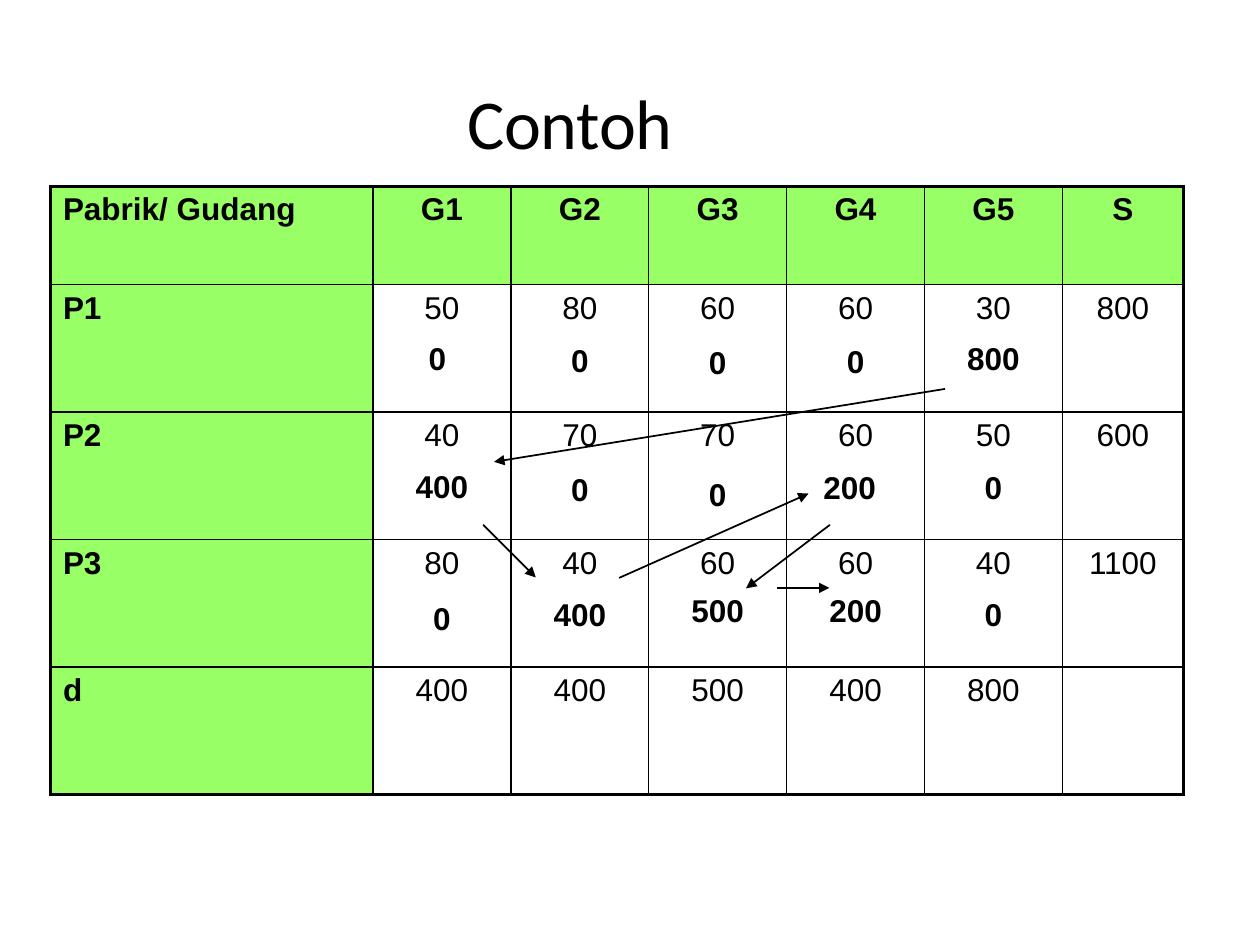
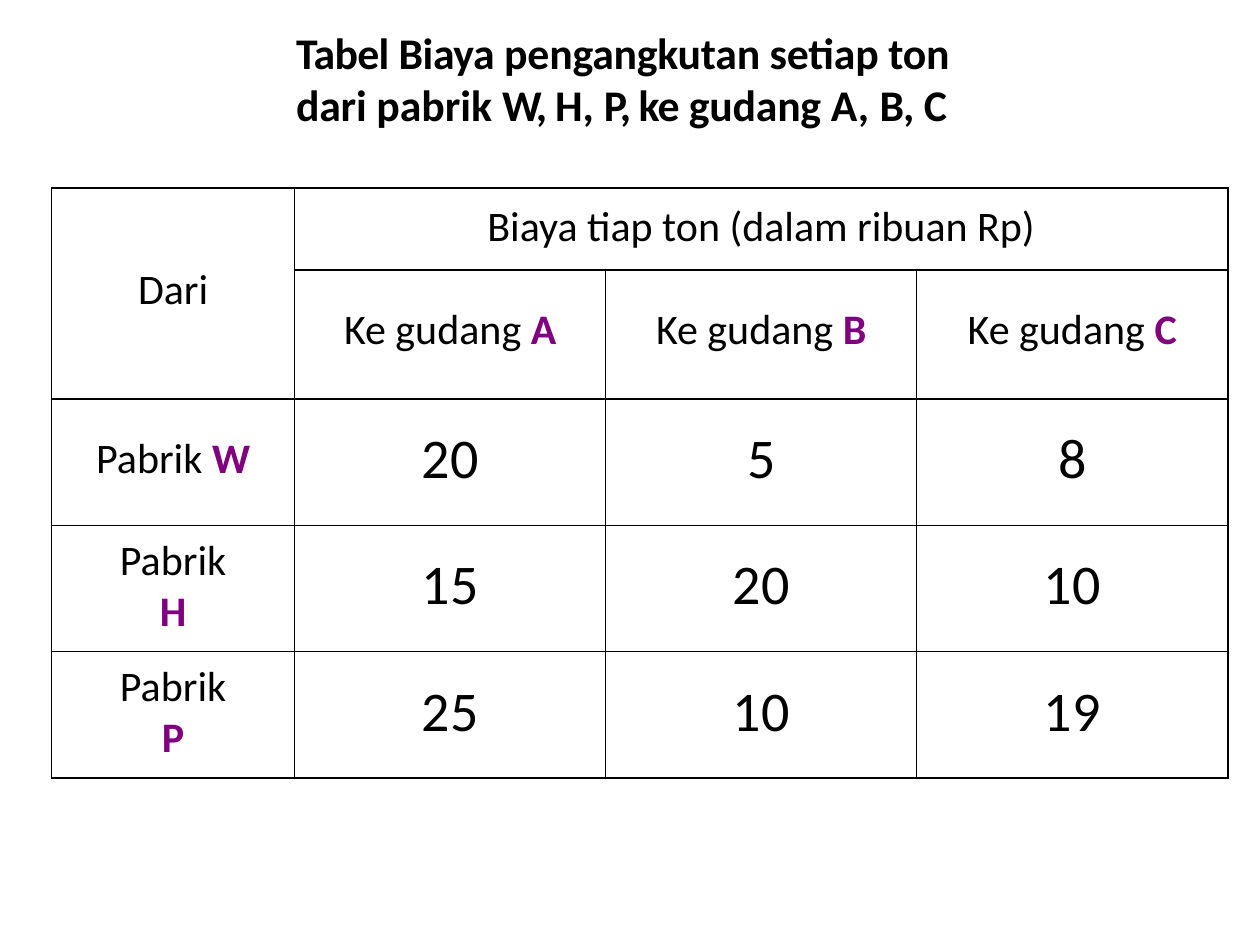
from lxml import etree
from pptx import Presentation
from pptx.dml.color import RGBColor
from pptx.enum.shapes import MSO_CONNECTOR
from pptx.enum.text import PP_ALIGN
from pptx.oxml.ns import qn
from pptx.util import Cm, Pt

LEFT, CENTER = PP_ALIGN.LEFT, PP_ALIGN.CENTER
STRAIGHT = MSO_CONNECTOR.STRAIGHT
BLACK, GREEN, PURPLE = "000000", "99FF66", "800080"

TITLE = {"name": "Calibri", "size": Pt(40), "bold": False}
SUBTITLE = {"name": "Calibri", "size": Pt(25), "bold": True}
COST = {"name": "Arial", "size": Pt(18), "bold": False}
STRONG = {**COST, "bold": True}
LABEL = {"name": "Calibri", "size": Pt(24), "bold": False}
KEY = {**LABEL, "bold": True, "color": PURPLE}
NUMBER = {**LABEL, "size": Pt(32)}

WAREHOUSES = ["G1", "G2", "G3", "G4", "G5"]
PLANTS = [
    ("P1", [50, 80, 60, 60, 30], [0, 0, 0, 0, 800], [8.9, 10.1, 11.6, 10.8, 8.9], 800),
    ("P2", [40, 70, 70, 60, 50], [400, 0, 0, 200, 0], [9.2, 11.4, 14.1, 9.9, 9.9], 600),
    ("P3", [80, 40, 60, 60, 40], [0, 400, 500, 200, 0], [12.1, 9.8, 7.2, 7.2, 9.8], 1100),
]
DEMAND = [400, 400, 500, 400, 800]
INDENTS = {("P1", "G1"): 1.12, ("P2", "G4"): 0.74}
ARROWS = [
    (19.05, 7.84, 9.96, 9.31),
    (9.74, 10.58, 10.8, 11.64),
    (12.48, 11.65, 16.3, 9.95),
    (16.73, 10.58, 15.04, 11.86),
    (15.67, 11.85, 16.72, 11.85),
]
FREIGHT = [("W", [20, 5, 8]), ("H", [15, 20, 10]), ("P", [25, 10, 19])]
FREIGHT_TITLE = [
    ("Tabel ", -0.4), ("Biaya ", -0.2), ("pengangkutan setiap ton dari ", -0.1),
    ("pabrik ", 0), ("W, ", -1.1), ("H, ", 0), ("P, ", -1.4), ("ke ", -0.4),
    ("gudang ", -0.1), ("A, ", 0.1), ("B, ", -0.2), ("C", -0.1),
]


def rgb(value):
    return RGBColor.from_string(value)


def set_insets(target, top):
    for side in ("left", "right", "bottom"):
        setattr(target, f"margin_{side}", 0)
    target.margin_top = Cm(top)


def add_run(p, text, fmt, spacing=0):
    r = p.add_run()
    r.text = str(text)
    for name, value in {"color": BLACK, **fmt}.items():
        if name == "color":
            r.font.color.rgb = rgb(value)
        else:
            setattr(r.font, name, value)
    if spacing:
        r._r.get_or_add_rPr().set("spc", str(round(spacing * 100)))


def add_title(s, box, top, runs, fmt, wrap):
    tf = s.shapes.add_textbox(*map(Cm, box)).text_frame
    tf.word_wrap = wrap
    set_insets(tf, top)
    for text, spacing in runs:
        add_run(tf.paragraphs[0], text, fmt, spacing)


def add_arrow(s, ends):
    line = s.shapes.add_connector(STRAIGHT, *map(Cm, ends))
    line.line.color.rgb = rgb(BLACK)
    line.line.width = Pt(1)
    ln = line.line._get_or_add_ln()
    etree.SubElement(ln, qn("a:tailEnd"), type="triangle", w="med", len="med")
    etree.SubElement(line._element.spPr, qn("a:effectLst"))


def set_border(cell, side, width):
    tcPr = cell._tc.get_or_add_tcPr()
    ln = etree.SubElement(tcPr, qn(f"a:ln{side}"), w=str(Pt(width)))
    fill = etree.SubElement(ln, qn("a:solidFill"))
    etree.SubElement(fill, qn("a:srgbClr"), val=BLACK)


def add_grid(s, left, top, widths, heights, outer):
    frame = s.shapes.add_table(len(heights), len(widths), Cm(left), Cm(top),
                               Cm(sum(widths)), Cm(sum(heights)))
    table = frame.table
    table.first_row = table.horz_banding = False
    for column, width in zip(table.columns, widths):
        column.width = Cm(width)
    for row, height in zip(table.rows, heights):
        row.height = Cm(height)
    last_row, last_col = len(heights) - 1, len(widths) - 1
    for i, row in enumerate(table.rows):
        for j, cell in enumerate(row.cells):
            edges = {"L": j == 0, "R": j == last_col, "T": i == 0, "B": i == last_row}
            for side, is_outer in edges.items():
                set_border(cell, side, outer if is_outer else 1)
            cell.fill.background()
            set_insets(cell, 0)
    return table


def fill_cell(cell, top, *paragraphs, align=CENTER):
    set_insets(cell, top)
    tf = cell.text_frame
    for i, runs in enumerate(paragraphs):
        p = tf.add_paragraph() if i else tf.paragraphs[0]
        p.alignment = align
        for text, fmt in runs:
            add_run(p, text, fmt)


def shade(cell):
    cell.fill.solid()
    cell.fill.fore_color.rgb = rgb(GREEN)


def place_allocation(cell, amount, before, indent):
    p = cell.text_frame.add_paragraph()
    p.alignment = CENTER if indent is None else LEFT
    p.space_before = Pt(before)
    if indent is not None:
        p._p.get_or_add_pPr().set("marL", str(Cm(indent)))
    add_run(p, amount, STRONG)


def build_allocation(prs):
    s = prs.slides.add_slide(prs.slide_layouts[6])
    add_title(s, (9.42, 1.52, 4.24, 1.78), 0.08, [("Contoh", -0.1)], TITLE, False)
    for ends in ARROWS:
        add_arrow(s, ends)
    table = add_grid(s, 1.02, 3.76, [6.5] + [2.78] * 5 + [2.44],
                     [1.98] + [2.57] * 4, 2.25)
    for j, text in enumerate(["Pabrik/ Gudang", *WAREHOUSES, "S"]):
        cell = table.cell(0, j)
        fill_cell(cell, 0.1, [(text, STRONG)], align=CENTER if j else LEFT)
        shade(cell)
    rows = [(name, [*costs, supply]) for name, costs, _, _, supply in PLANTS]
    for i, (name, values) in enumerate([*rows, ("d", DEMAND)], 1):
        fill_cell(table.cell(i, 0), 0.12, [(name, STRONG)], align=LEFT)
        shade(table.cell(i, 0))
        for j, value in enumerate(values, 1):
            fill_cell(table.cell(i, j), 0.12, [(value, COST)])
    for i in range(5):
        table.cell(i, 0).margin_left = Cm(0.25)
    for i, (name, _, amounts, gaps, _) in enumerate(PLANTS, 1):
        for j, (g, amount, gap) in enumerate(zip(WAREHOUSES, amounts, gaps), 1):
            place_allocation(table.cell(i, j), amount, gap, INDENTS.get((name, g)))


def build_freight(prs):
    s = prs.slides.add_slide(prs.slide_layouts[6])
    add_title(s, (5.97, 0.46, 13.44, 2.18), 0.06, FREIGHT_TITLE, SUBTITLE, True)
    table = add_grid(s, 1.04, 3.79, [4.9] + [6.27] * 3,
                     [1.65, 2.6] + [2.55] * 3, 1)
    table.cell(0, 0).merge(table.cell(1, 0))
    table.cell(0, 1).merge(table.cell(0, 3))
    fill_cell(table.cell(0, 0), 1.55, [("Dari", LABEL)])
    fill_cell(table.cell(0, 1), 0.28, [("Biaya tiap ton (dalam ribuan Rp)", LABEL)])
    for j, warehouse in enumerate("ABC", 1):
        fill_cell(table.cell(1, j), 0.71, [("Ke gudang ", LABEL), (warehouse, KEY)])
    for i, (plant, costs) in enumerate(FREIGHT, 2):
        if plant == "W":
            fill_cell(table.cell(i, 0), 0.71, [("Pabrik ", LABEL), (plant, KEY)])
        else:
            fill_cell(table.cell(i, 0), 0.2, [("Pabrik", LABEL)], [(plant, KEY)])
        for j, cost in enumerate(costs, 1):
            fill_cell(table.cell(i, j), 0.53, [(cost, NUMBER)])


def main():
    prs = Presentation()
    prs.slide_width, prs.slide_height = Cm(25.4), Cm(19.05)
    build_allocation(prs)
    build_freight(prs)
    prs.save("out.pptx")


if __name__ == "__main__":
    main()
